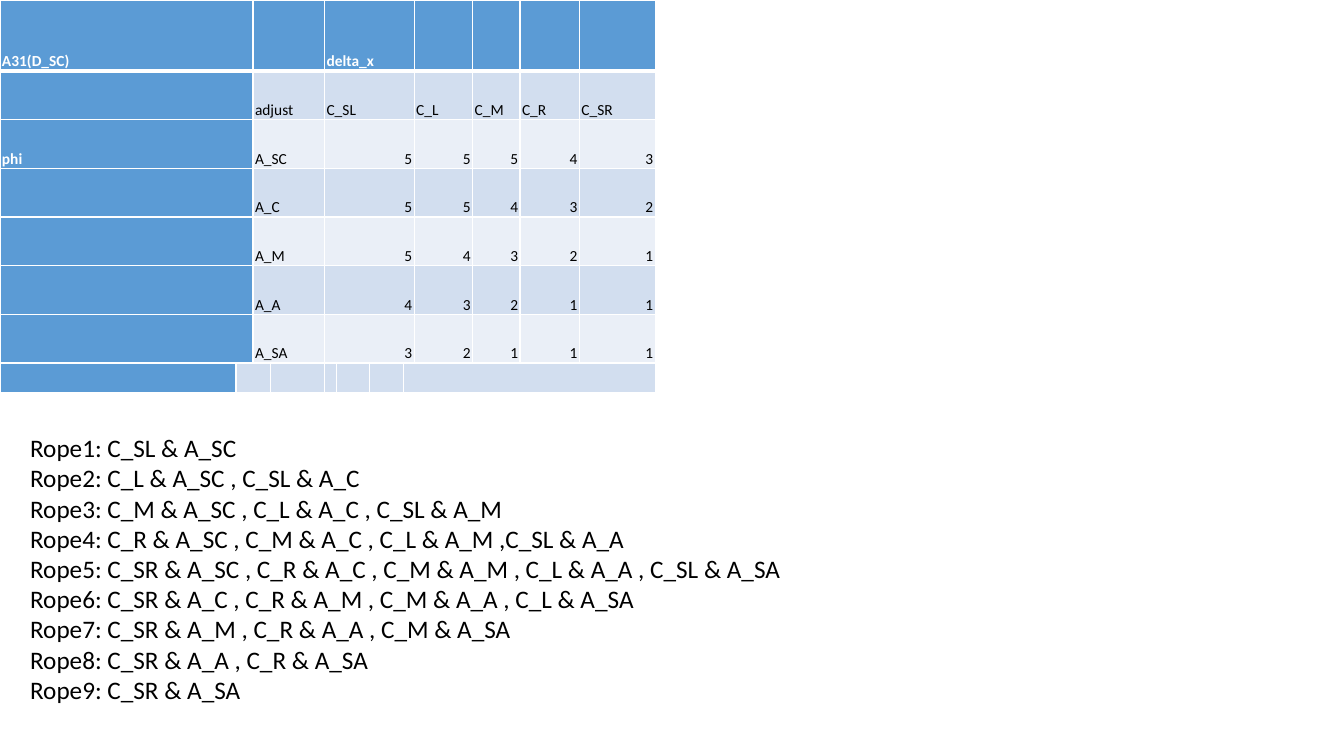
from dataclasses import dataclass
from typing import Any, NamedTuple

import lxml.etree
import pptx
import pptx.dml.color
import pptx.enum.text
import pptx.oxml.ns
import pptx.util

qn = pptx.oxml.ns.qn


@dataclass(frozen=True)
class Theme:
    font: str = "Calibri"
    small: int = 11
    large: int = 18
    white: str = "FFFFFF"
    black: str = "000000"
    head: str = "5B9BD5"
    bands: tuple[str, str] = ("EAEFF7", "D2DEEF")
    thin: int = 1
    thick: int = 3


class Box(NamedTuple):
    left: float
    top: float
    width: float
    height: float


class Row(NamedTuple):
    height: float
    spans: tuple[int, ...]
    words: tuple[str, ...]


THEME = Theme()
WIDE, HIGH = 1333, 750
COLS = (234, 17, 17, 54, 12, 33, 33, 11, 58, 47, 59, 75)
BODY = (2, 2, 4, 1, 1, 1, 1)
FOOT = (1, 2, 1, 1, 1, 1, 5)
DELTAS = ("C_SL", "C_L", "C_M", "C_R", "C_SR")
PHIS = ("A_SC", "A_C", "A_M", "A_A", "A_SA")
STEP = 48.3
TEXT = Box(20, 424, 988, 313)
ROPES = (
    "C_SL & A_SC",
    "C_L & A_SC , C_SL & A_C",
    "C_M & A_SC , C_L & A_C , C_SL & A_M",
    "C_R & A_SC , C_M & A_C , C_L & A_M ,C_SL & A_A",
    "C_SR & A_SC , C_R & A_C , C_M & A_M , C_L & A_A , C_SL & A_SA",
    "C_SR & A_C , C_R & A_M , C_M & A_A , C_L & A_SA",
    "C_SR & A_M , C_R & A_A , C_M & A_SA",
    "C_SR & A_A , C_R & A_SA",
    "C_SR & A_SA ",
)


def grid(count: float) -> int:
    return pptx.util.Inches(count / 100)


def rgb(code: str) -> pptx.dml.color.RGBColor:
    return pptx.dml.color.RGBColor.from_string(code)


def style(para: Any, size: int, color: str, bold: bool = False) -> None:
    font = para.font
    font.name, font.size, font.bold = THEME.font, pptx.util.Pt(size), bold
    font.color.rgb = rgb(color)


def border(cell: Any, top: int, base: int) -> None:
    props = cell._tc.get_or_add_tcPr()
    sides = {"lnL": THEME.thin, "lnR": THEME.thin, "lnT": top, "lnB": base}
    for side, width in sides.items():
        line = lxml.etree.SubElement(props, qn(f"a:{side}"), w=str(pptx.util.Pt(width)))
        fill = lxml.etree.SubElement(line, qn("a:solidFill"))
        lxml.etree.SubElement(fill, qn("a:srgbClr"), val=THEME.white)


def paint(cell: Any, row: int, head: bool) -> None:
    border(cell, THEME.thick if row == 1 else THEME.thin,
           THEME.thick if row == 0 else THEME.thin)
    cell.fill.solid()
    cell.fill.fore_color.rgb = rgb(THEME.head if head else THEME.bands[row % 2])
    cell.margin_left = cell.margin_right = grid(2)
    cell.margin_top = cell.margin_bottom = 0
    cell.vertical_anchor = pptx.enum.text.MSO_ANCHOR.BOTTOM


def write(cell: Any, word: str, head: bool) -> None:
    para = cell.text_frame.paragraphs[0]
    style(para, THEME.small, THEME.white if head else THEME.black, head)
    if word:
        para.add_run().text = word
    else:
        lxml.etree.SubElement(para._p, qn("a:endParaRPr"), sz=str(THEME.small * 100))
    if word.isdigit():
        para.alignment = pptx.enum.text.PP_ALIGN.RIGHT


def score(row: int, col: int) -> str:
    return str(min(5, max(1, 7 - row - col)))


def plan() -> list[Row]:
    rows = [
        Row(70.5, BODY, ("A31(D_SC)", "", "delta_x", "", "", "", "")),
        Row(STEP, BODY, ("", "adjust", *DELTAS)),
    ]
    for i, phi in enumerate(PHIS):
        marks = (score(i, j) for j in range(len(DELTAS)))
        rows.append(Row(STEP, BODY, ("" if i else "phi", phi, *marks)))
    return rows + [Row(29, FOOT, ("",) * len(FOOT))]


def draw_table(slide: Any, rows: list[Row]) -> None:
    high = sum(row.height for row in rows)
    table = slide.shapes.add_table(
        len(rows), len(COLS), 0, 0, grid(sum(COLS)), grid(high)).table
    for col, width in zip(table.columns, COLS):
        col.width = grid(width)
    for r, row in enumerate(rows):
        table.rows[r].height = grid(row.height)
        start = 0
        for span, word in zip(row.spans, row.words):
            head = r == 0 or start == 0
            for c in range(start, start + span):
                paint(table.cell(r, c), r, head)
            cell = table.cell(r, start)
            if span > 1:
                cell.merge(table.cell(r, start + span - 1))
            write(cell, word, head)
            start += span


def draw_ropes(slide: Any, box: Box) -> None:
    frame = slide.shapes.add_textbox(*map(grid, box)).text_frame
    frame.word_wrap = True
    frame.auto_size = pptx.enum.text.MSO_AUTO_SIZE.SHAPE_TO_FIT_TEXT
    frame.text = "\n".join(f"Rope{n}: {rope}" for n, rope in enumerate(ROPES, 1))
    for para in frame.paragraphs:
        style(para, THEME.large, THEME.black)


def main() -> None:
    deck = pptx.Presentation()
    deck.slide_width, deck.slide_height = grid(WIDE), grid(HIGH)
    slide = deck.slides.add_slide(deck.slide_layouts[6])
    draw_table(slide, plan())
    draw_ropes(slide, TEXT)
    deck.save("out.pptx")


main()
